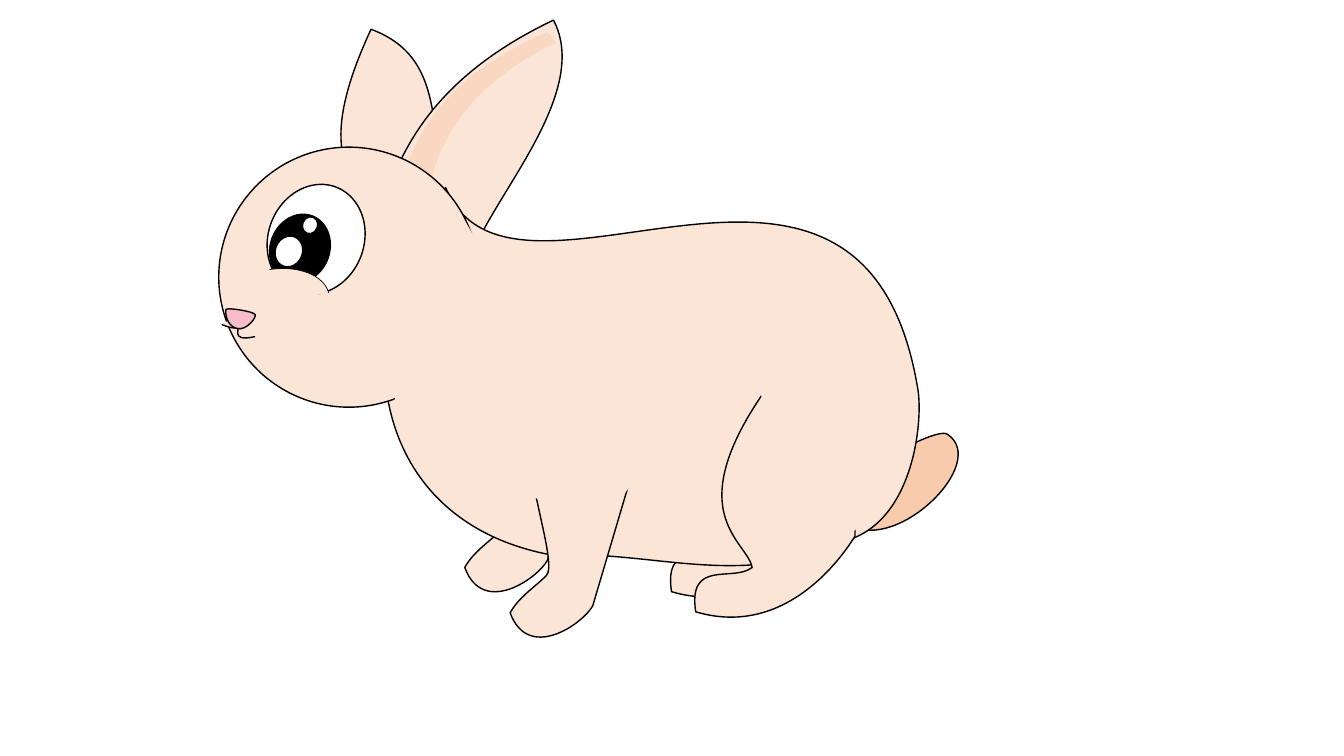
import math
from dataclasses import dataclass
from lxml import etree
from pptx import Presentation, util as u
from pptx.dml import color
from pptx.enum import shapes
from pptx.oxml import ns

SKIN, INK, WHITE, PEACH, PINK = "FBE5D6", "000000", "FFFFFF", "F8CBAD", "F8BBC9"
EYE_TILT = 20.9
NEAR_FRONT_SHIFT = (0.45, 0.45)
NEAR_HIND_SHIFT = (0.24, 0.2)


@dataclass
class Outline:
    """Steps on the slide, in inches: a start point, then lines (2 numbers) and curves (6).

    The frame is left, top, width, height before the rotation in degrees.
    """
    frame: tuple
    steps: list
    rotation: float = 0
    closed: bool = True


FRONT_LEG = Outline((4.61, 3.93, 1.27, 1.94), [
    (4.85, 3.93), (5.88, 4.04), (5.43, 5.56),
    (5.33, 5.74, 4.79, 6.12, 4.61, 5.63),
    (4.7, 5.47, 4.85, 5.38, 4.97, 5.26),
    (5.09, 5.13, 4.7, 4.13, 4.85, 3.93)])
HIND_LEG = Outline((6.65, 3.22, 1.59, 2.7), [
    (7.7, 3.22), (8.24, 3.68), (8.24, 5.12),
    (8.17, 5.23, 7.6, 6.15, 6.66, 5.87),
    (6.58, 5.34, 7.03, 5.58, 7.22, 5.43),
    (7.17, 5.14, 6.33, 4.84, 7.7, 3.22)])
TAIL = Outline((8.33, 4.3, 1.2, 0.93), [
    (8.43, 5.21),
    (8.91, 5.48, 9.81, 4.59, 9.4, 4.31),
    (9.28, 4.2, 7.95, 4.95, 8.43, 5.21)], rotation=291.6)
FAR_EAR = Outline((3.38, 0.29, 1.09, 2.11), [
    (3.68, 0.29),
    (4.46, 0.58, 4.21, 1.35, 4.47, 1.88), (3.8, 2.4),
    (3.72, 1.81, 2.98, 1.8, 3.68, 0.29)])
NEAR_EAR = Outline((4.01, 0, 1.26, 3.3), [
    (5.49, 0.2),
    (5.88, 0.94, 4.82, 2.01, 4.67, 2.58), (3.52, 2.87),
    (3.85, 2.36, 3.64, 1.08, 5.49, 0.2)], rotation=40.9)
EAR_SHADE = Outline((4.04, 0.05, 1, 3.24), [
    (5.43, 0.32),
    (5.46, 0.35, 5.48, 0.37, 5.49, 0.4), (5.51, 0.43), (5.36, 0.5),
    (3.9, 1.3, 4.27, 2.5, 4.14, 3.06), (4.12, 3.11), (3.83, 3.16),
    (4.08, 2.62, 3.45, 1.16, 5.43, 0.32)], rotation=35.6)
BODY = Outline((3.81, 1.86, 5.31, 3.75), [
    (4.42, 1.86),
    (5.08, 3.46, 8.55, 0.6, 9.1, 3.84),
    (9.16, 4.13, 9.08, 5.1, 8.46, 5.34),
    (7.38, 5.87, 6.48, 5.45, 5.49, 5.51),
    (3.54, 5.16, 3.44, 3.08, 4.42, 1.86)])
CHIN = Outline((2.85, 3.45, 0.12, 0.22), [
    (2.99, 3.64),
    (2.96, 3.65, 2.8, 3.58, 2.79, 3.56),
    (2.78, 3.53, 2.87, 3.48, 2.93, 3.5),
    (2.98, 3.53, 3.01, 3.63, 2.99, 3.64)], rotation=293.6)
MOUTH_RIGHT = Outline((2.35, 3.19, 0.19, 0.16), [
    (2.35, 3.19), (2.41, 3.24, 2.25, 3.4, 2.53, 3.34)], closed=False)
MOUTH_LEFT = Outline((2.2, 3.09, 0.19, 0.16), [
    (2.4, 3.1), (2.33, 3.14, 2.47, 3.33, 2.2, 3.22)], rotation=8, closed=False)
NOSE = Outline((2.23, 3.07, 0.3, 0.19), [
    (2.24, 3.07),
    (2.27, 3.05, 2.51, 3.09, 2.53, 3.12),
    (2.55, 3.15, 2.44, 3.28, 2.36, 3.26),
    (2.28, 3.25, 2.23, 3.16, 2.24, 3.07)], rotation=9.8)

# Skin without a border hides the lines where two parts of the rabbit join.
NECK_PATCH = Outline((3.9, 2.07, 1.18, 2.17), [
    (4.19, 3.06),
    (4.25, 2.7, 4.17, 1.87, 4.4, 1.96),
    (4.64, 2.05, 5.11, 3.18, 5.03, 3.38),
    (4.95, 3.59, 4.23, 4.22, 3.99, 4.13),
    (3.76, 4.04, 4.12, 3.42, 4.19, 3.06)], rotation=20.9)
SHOULDER_PATCH = Outline((5.31, 3.36, 1.18, 2.17), [
    (5.77, 4.15),
    (6.09, 3.97, 6.67, 3.37, 6.75, 3.6),
    (6.84, 3.84, 6.28, 4.93, 6.07, 5),
    (5.87, 5.08, 4.92, 4.93, 4.84, 4.69),
    (4.75, 4.46, 5.45, 4.33, 5.77, 4.15)], rotation=70.6)
HIP_PATCH = Outline((7.44, 3.14, 1.31, 1.4), [
    (8.24, 3.52),
    (8.49, 3.56, 9.1, 3.4, 8.98, 3.65),
    (8.85, 3.9, 7.92, 4.48, 7.79, 4.42),
    (7.67, 4.35, 7.4, 3.66, 7.53, 3.41),
    (7.65, 3.16, 8, 3.48, 8.24, 3.52)], rotation=116.7)
THIGH_PATCH = Outline((7.78, 3.74, 1.06, 1.97), [
    (8.05, 4.62),
    (8.13, 4.3, 8.11, 3.54, 8.31, 3.64),
    (8.51, 3.73, 8.87, 4.78, 8.78, 4.96),
    (8.7, 5.13, 8.01, 5.66, 7.81, 5.57),
    (7.61, 5.48, 7.96, 4.94, 8.05, 4.62)], rotation=24.7)


def rgb(value):
    return color.RGBColor.from_string(value)


def point_in_frame(x, y, outline):
    """Undo the rotation about the frame's centre and measure from its top left corner."""
    left, top, width, height = outline.frame
    across, down = x - left - width / 2, y - top - height / 2
    angle = math.radians(outline.rotation)
    return (width / 2 + across * math.cos(angle) + down * math.sin(angle),
            height / 2 - across * math.sin(angle) + down * math.cos(angle))


class Drawing:
    line_width = 1

    def __init__(self, slide):
        self.shapes = slide.shapes.add_group_shape().shapes

    def style(self, shape, fill, line, rotation):
        shape.shadow.inherit = False
        shape.rotation = rotation
        shape.fill.solid()
        shape.fill.fore_color.rgb = rgb(fill)
        if line:
            shape.line.color.rgb = rgb(INK)
            shape.line.width = u.Pt(line)
        else:
            shape.line.fill.background()

    def ellipse(self, frame, fill, rotation):
        shape = self.shapes.add_shape(shapes.MSO_SHAPE.OVAL, *map(u.Inches, frame))
        self.style(shape, fill, self.line_width, rotation)

    def arc(self, frame, start, end, fill, line, rotation):
        """Draw an arc clockwise between two angles in degrees, where 270 is the top."""
        shape = self.shapes.add_shape(shapes.MSO_SHAPE.ARC, *map(u.Inches, frame))
        # Angles are stored in 60000ths of a degree, adjustments in 100000ths.
        shape.adjustments[0], shape.adjustments[1] = start * 0.6, end * 0.6
        self.style(shape, fill, line, rotation)

    def outline(self, outline, fill=SKIN, line=line_width, shift=(0, 0)):
        left, top, width, height = outline.frame
        left, top = left + shift[0], top + shift[1]
        right, bottom = left + width, top + height
        # Two opposite corners fix the frame; the real steps then replace them.
        builder = self.shapes.build_freeform(u.Inches(left), u.Inches(top))
        builder.add_line_segments([(u.Inches(right), u.Inches(bottom))], close=False)
        shape = builder.convert_to_shape()
        self.write_steps(shape, outline)
        self.style(shape, fill, line, outline.rotation)
        return shape

    def write_steps(self, shape, outline):
        route = shape.element.xpath(".//a:pathLst/*")[0]
        for placeholder in list(route):
            route.remove(placeholder)
        for index, step in enumerate(outline.steps):
            command = "a:cubicBezTo" if len(step) == 6 else "a:lnTo" if index else "a:moveTo"
            segment = etree.SubElement(route, ns.qn(command))
            for x, y in zip(step[::2], step[1::2]):
                place = point_in_frame(x, y, outline)
                values = {axis: str(u.Inches(value)) for axis, value in zip("xy", place)}
                etree.SubElement(segment, ns.qn("a:pt"), values)
        if outline.closed:
            etree.SubElement(route, ns.qn("a:close"))

    def set_opacity(self, shape, percent):
        tint = shape.element.xpath("./p:spPr/a:solidFill/a:srgbClr")[0]
        etree.SubElement(tint, ns.qn("a:alpha"), {"val": str(percent * 1000)})


def draw_rabbit(drawing):
    """Draw from back to front."""
    drawing.outline(FRONT_LEG)
    drawing.outline(TAIL, fill=PEACH)
    for ear in (FAR_EAR, NEAR_EAR):
        drawing.outline(ear)
    drawing.set_opacity(drawing.outline(EAR_SHADE, fill=PEACH, line=0), percent=50)
    for part in (HIND_LEG, BODY):
        drawing.outline(part)
    drawing.outline(HIND_LEG, shift=NEAR_HIND_SHIFT)
    drawing.outline(FRONT_LEG, shift=NEAR_FRONT_SHIFT)
    drawing.outline(CHIN)
    head, eyeball, pupil = (2.17, 1.46, 2.58, 2.58), (2.66, 1.82, 0.95, 1.11), (2.68, 2.12, 0.59, 0.69)
    drawing.ellipse(head, SKIN, rotation=8.9)
    drawing.outline(MOUTH_RIGHT)
    drawing.ellipse(eyeball, WHITE, EYE_TILT)
    drawing.ellipse(pupil, INK, EYE_TILT)
    for patch in (NECK_PATCH, SHOULDER_PATCH, HIP_PATCH, THIGH_PATCH):
        drawing.outline(patch, line=0)
    for glint in ((2.73, 2.34, 0.27, 0.31), (3, 2.15, 0.15, 0.17)):
        drawing.ellipse(glint, WHITE, EYE_TILT)
    drawing.outline(MOUTH_LEFT)
    drawing.outline(NOSE, fill=PINK)
    cheek = (2.19, 2.67, 1.08, 0.67)
    drawing.arc(cheek, start=268.86, end=357.77, fill=SKIN, line=0.5, rotation=351.5)


deck = Presentation()
deck.slide_width, deck.slide_height = u.Inches(13.33), u.Inches(7.5)
draw_rabbit(Drawing(deck.slides.add_slide(deck.slide_layouts[6])))
deck.save("out.pptx")
